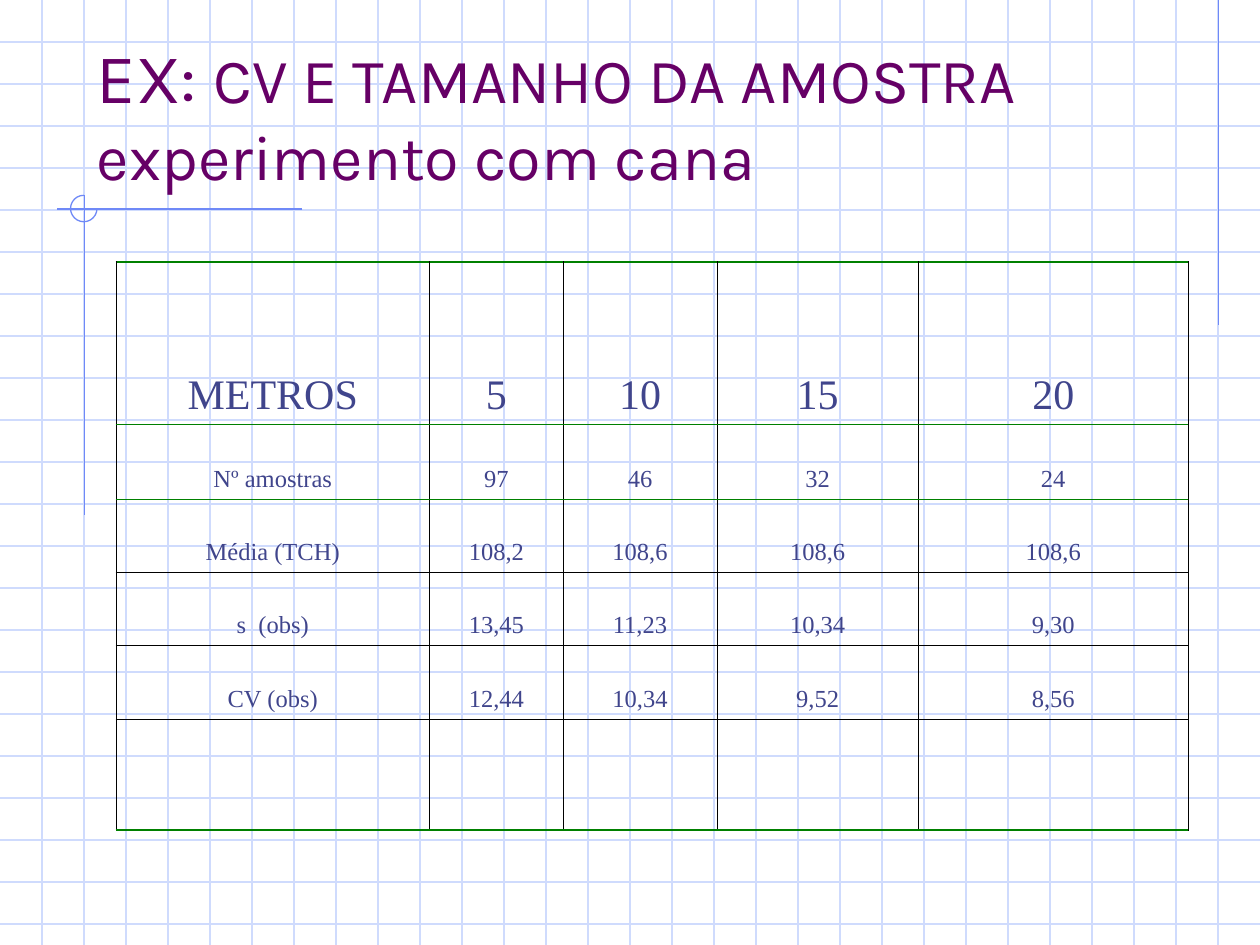
from lxml import etree
from pptx import Presentation
from pptx.dml.color import RGBColor
from pptx.enum.shapes import MSO_CONNECTOR, MSO_SHAPE
from pptx.enum.text import MSO_ANCHOR, PP_ALIGN
from pptx.oxml.ns import qn
from pptx.util import Inches, Pt

STRAIGHT, ARC = MSO_CONNECTOR.STRAIGHT, MSO_SHAPE.ARC
BOTTOM, CENTER = MSO_ANCHOR.BOTTOM, PP_ALIGN.CENTER
PALE, BLUE, BLACK, GREEN = "CFDBFD", "6F89F7", "000000", "008000"
rgb = RGBColor.from_string

prs = Presentation()
prs.slide_width, prs.slide_height = Inches(10), Inches(7.5)
s = prs.slides.add_slide(prs.slide_layouts[6])


def add_line(x1, y1, x2, y2, color):
    c = s.shapes.add_connector(STRAIGHT, Inches(x1), Inches(y1), Inches(x2), Inches(y2))
    c.line.color.rgb = rgb(color)
    c.line.width = Pt(0.75)
    etree.SubElement(c._element.spPr, qn("a:effectLst"))


def add_border(cell, side, color, width):
    ln = etree.SubElement(cell._tc.get_or_add_tcPr(), qn("a:ln" + side), w=str(Pt(width)))
    fill = etree.SubElement(ln, qn("a:solidFill"))
    etree.SubElement(fill, qn("a:srgbClr"), val=color)


# Graph paper, three squares to the inch
for i in range(1, 23):
    add_line(0, i / 3, 10, i / 3, PALE)
for i in range(1, 30):
    add_line(i / 3, 0, i / 3, 7.5, PALE)

# Accent lines and three-quarter circle
add_line(9.67, 0, 9.67, 2.58, BLUE)
add_line(2.4, 1.66, 0.45, 1.66, BLUE)
add_line(0.67, 1.55, 0.67, 4.09, BLUE)
arc = s.shapes.add_shape(ARC, Inches(0.56), Inches(1.55), Inches(0.21), Inches(0.21))
arc.adjustments[0], arc.adjustments[1] = 0, 162
arc.shadow.inherit = False
arc.fill.background()
arc.line.color.rgb = rgb(BLUE)
arc.line.width = Pt(0.75)

# Title
tf = s.shapes.add_textbox(Inches(0.67), Inches(0.33), Inches(8.5), Inches(1.25)).text_frame
tf.word_wrap = True
tf.vertical_anchor = BOTTOM
p = tf.paragraphs[0]
p.font.name = "Karla"
p.font.color.rgb = rgb("660066")
for text, size in (("EX: ", 40), ("CV E TAMANHO DA AMOSTRA experimento com cana", 36)):
    r = p.add_run()
    r.text = text
    r.font.size = Pt(size)

# Table
rows = [
    ["METROS", "5", "10", "15", "20"],
    ["Nº amostras", "97", "46", "32", "24"],
    ["Média (TCH)", "108,2", "108,6", "108,6", "108,6"],
    ["s  (obs)", "13,45", "11,23", "10,34", "9,30"],
    ["CV (obs)", "12,44", "10,34", "9,52", "8,56"],
    [""] * 5,
]
widths = [2.49, 1.06, 1.22, 1.6, 2.14]
heights = [1.29, 0.59, 0.58, 0.58, 0.59, 0.88]
# Horizontal rules from top to bottom: one above each row, and the last below
thin = (BLACK, 0.34)
rules = [(GREEN, 0.96), (GREEN, 0.45), (GREEN, 0.45), thin, thin, thin, (GREEN, 0.96)]

table = s.shapes.add_table(len(rows), len(widths), Inches(0.92), Inches(2.08),
                           Inches(8.5), Inches(4.5)).table
table.first_row = table.horz_banding = False
for col, width in zip(table.columns, widths):
    col.width = Inches(width)
for i, row in enumerate(rows):
    table.rows[i].height = Inches(heights[i])
    for j, text in enumerate(row):
        cell = table.cell(i, j)
        for side, rule in (("L", thin), ("R", thin), ("T", rules[i]), ("B", rules[i + 1])):
            add_border(cell, side, *rule)
        cell.fill.background()
        cell.vertical_anchor = BOTTOM
        cell.text = text
        p = cell.text_frame.paragraphs[0]
        p.alignment = CENTER
        p.font.name = "Times New Roman"
        p.font.size = Pt(24 if i == 0 else 14)
        p.font.color.rgb = rgb("40458C")

prs.save("out.pptx")
